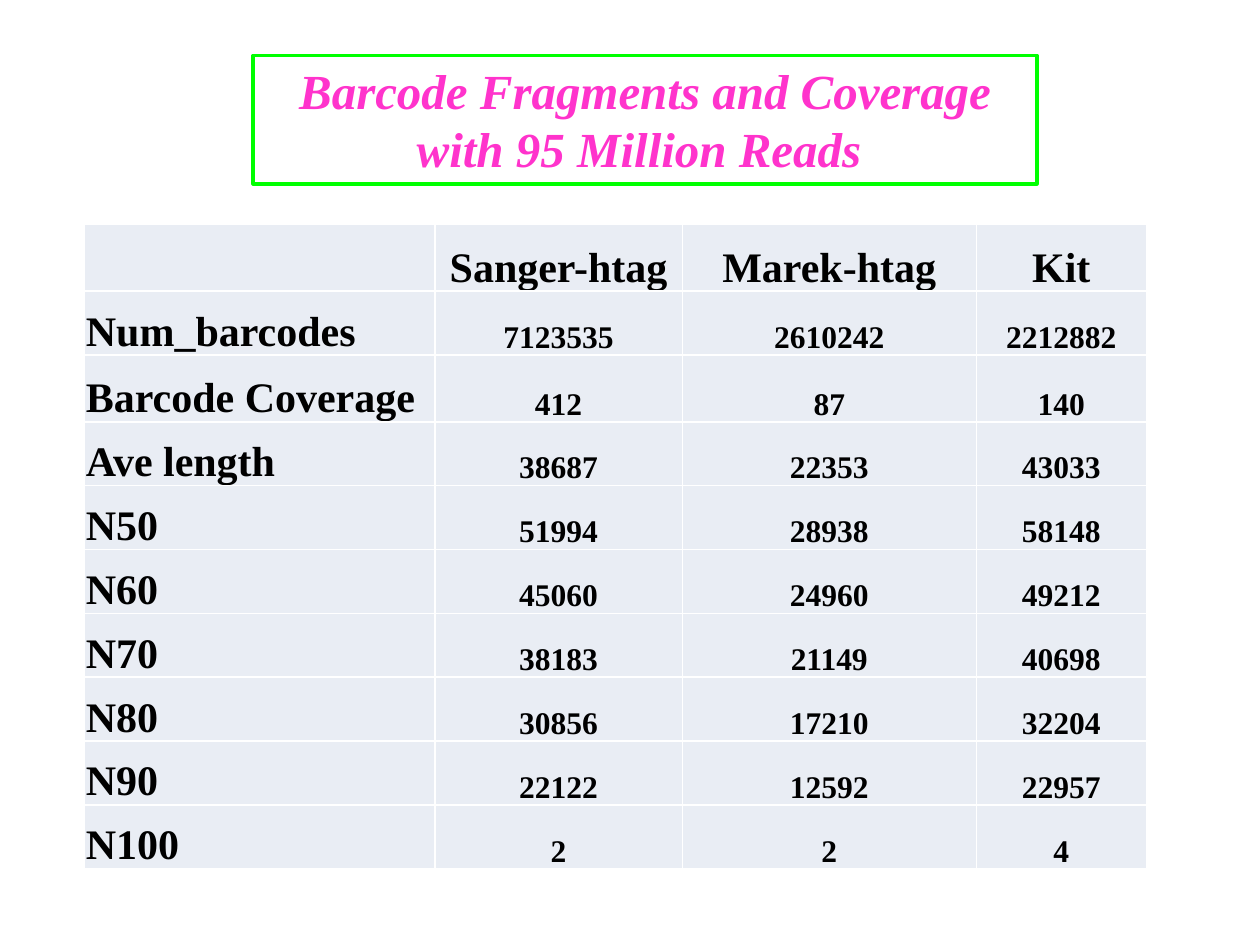
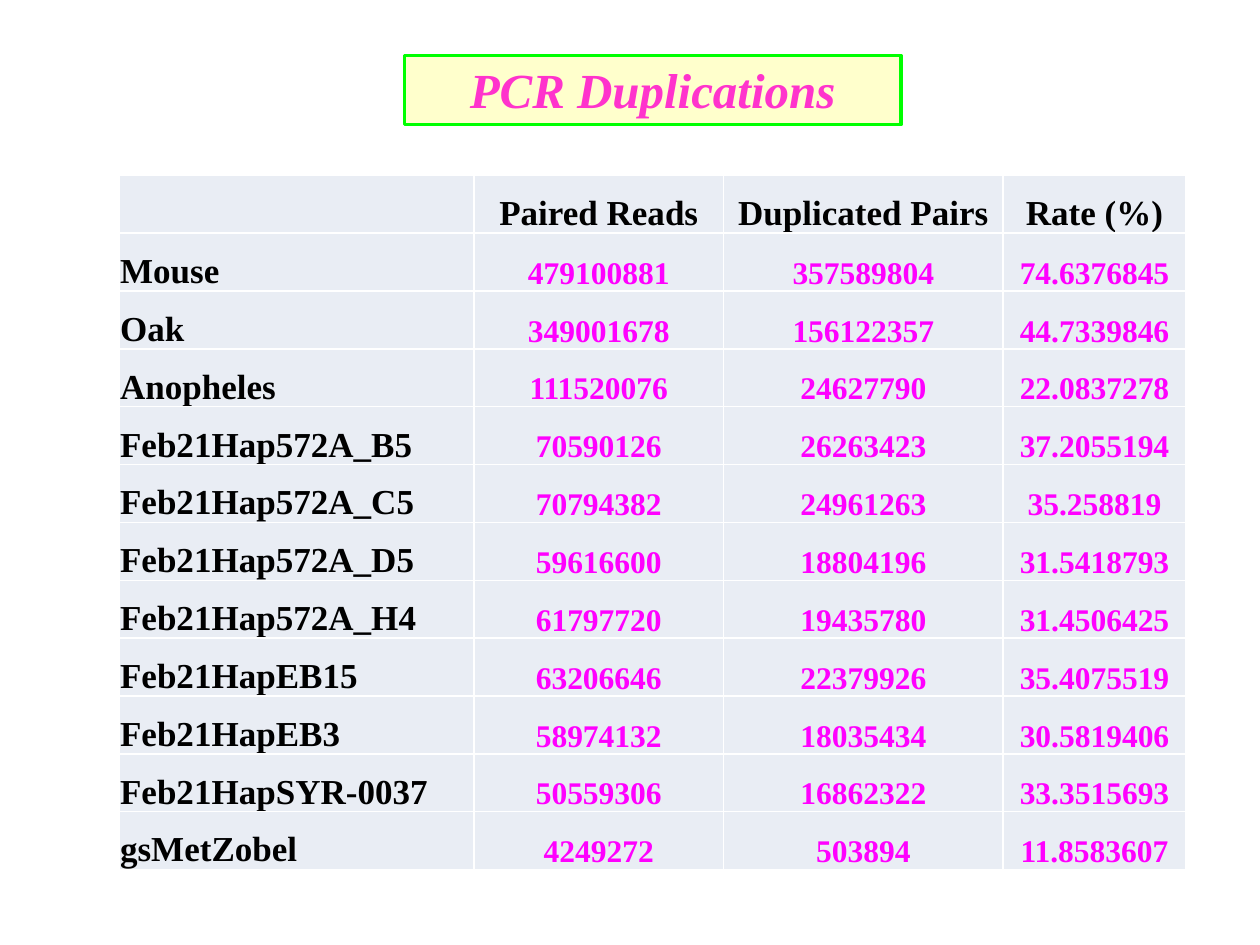
from pptx import Presentation
from pptx.dml.color import RGBColor
from pptx.enum.shapes import MSO_SHAPE
from pptx.enum.text import MSO_ANCHOR, PP_ALIGN
from pptx.util import Pt

RECTANGLE = MSO_SHAPE.RECTANGLE
BOTTOM = MSO_ANCHOR.BOTTOM
LEFT, CENTER = PP_ALIGN.LEFT, PP_ALIGN.CENTER

FONT = "Times New Roman"
WHITE, CREAM, CELL_FILL = "FFFFFF", "FFFFCC", "E9EDF4"
BLACK, MAGENTA, TITLE_PINK, FRAME_GREEN = "000000", "FF00FF", "FF33CC", "00FF00"
TITLE_TOP, TITLE_SIZE, VALUE_SIZE = 31.7, 28, 18


def paint(color_format, hex_color):
    """Give a font, fill or line colour its hex value."""
    color_format.rgb = RGBColor.from_string(hex_color)


def style_text(paragraph, size, color, align, italic=False):
    paragraph.alignment = align
    for run in paragraph.runs:
        run.font.name = FONT
        run.font.size = Pt(size)
        run.font.bold = True
        run.font.italic = italic
        paint(run.font.color, color)


barcode_stats = [
    ["", "Sanger-htag", "Marek-htag", "Kit"],
    ["Num_barcodes", "7123535", "2610242", "2212882"],
    ["Barcode Coverage", "412", "87", "140"],
    ["Ave length", "38687", "22353", "43033"],
    ["N50", "51994", "28938", "58148"],
    ["N60", "45060", "24960", "49212"],
    ["N70", "38183", "21149", "40698"],
    ["N80", "30856", "17210", "32204"],
    ["N90", "22122", "12592", "22957"],
    ["N100", "2", "2", "4"],
]
duplication_stats = [
    ["", "Paired Reads", "Duplicated Pairs", "Rate (%)"],
    ["Mouse", "479100881", "357589804", "74.6376845"],
    ["Oak", "349001678", "156122357", "44.7339846"],
    ["Anopheles", "111520076", "24627790", "22.0837278"],
    ["Feb21Hap572A_B5", "70590126", "26263423", "37.2055194"],
    ["Feb21Hap572A_C5", "70794382", "24961263", "35.258819"],
    ["Feb21Hap572A_D5", "59616600", "18804196", "31.5418793"],
    ["Feb21Hap572A_H4", "61797720", "19435780", "31.4506425"],
    ["Feb21HapEB15", "63206646", "22379926", "35.4075519"],
    ["Feb21HapEB3", "58974132", "18035434", "30.5819406"],
    ["Feb21HapSYR-0037", "50559306", "16862322", "33.3515693"],
    ["gsMetZobel", "4249272", "503894", "11.8583607"],
]

pages = [
    dict(title="Barcode Fragments and Coverage\nwith 95 Million Reads ",
         title_left=144.7, title_width=447.8, title_height=73.4, title_fill=WHITE,
         stats=barcode_stats, table_left=48.3, table_top=128.2,
         column_widths=[200.2, 141.4, 168, 97.2],
         row_heights=[38.2, 36.5, 38.2] + [36.5] * 7,
         label_size=24, value_color=BLACK),
    dict(title="PCR Duplications",
         title_left=231.1, title_width=283.7, title_height=39.6, title_fill=CREAM,
         stats=duplication_stats, table_left=67.9, table_top=100.2,
         column_widths=[203, 142.6, 159.8, 104.4],
         row_heights=[33.06] * 12,
         label_size=20, value_color=MAGENTA),
]

prs = Presentation()
prs.slide_width, prs.slide_height = Pt(720), Pt(540)

for page in pages:
    slide = prs.slides.add_slide(prs.slide_layouts[6])

    title = slide.shapes.add_shape(
        RECTANGLE, Pt(page["title_left"]), Pt(TITLE_TOP),
        Pt(page["title_width"]), Pt(page["title_height"]))
    title.shadow.inherit = False
    title.fill.solid()
    paint(title.fill.fore_color, page["title_fill"])
    paint(title.line.color, FRAME_GREEN)
    title.line.width = Pt(2)
    title.text_frame.word_wrap = True
    title.text_frame.vertical_anchor = BOTTOM
    title.text_frame.text = page["title"]
    for line in title.text_frame.paragraphs:
        style_text(line, TITLE_SIZE, TITLE_PINK, CENTER, italic=True)

    stats, widths, heights = page["stats"], page["column_widths"], page["row_heights"]
    table = slide.shapes.add_table(
        len(stats), len(widths), Pt(page["table_left"]), Pt(page["table_top"]),
        Pt(sum(widths)), Pt(sum(heights))).table
    table.first_row = False
    table.horz_banding = False
    for column, width in zip(table.columns, widths):
        column.width = Pt(width)

    for r, (record, height) in enumerate(zip(stats, heights)):
        table.rows[r].height = Pt(height)
        for c, content in enumerate(record):
            cell = table.cell(r, c)
            cell.fill.solid()
            paint(cell.fill.fore_color, CELL_FILL)
            cell.vertical_anchor = BOTTOM
            cell.margin_left = cell.margin_right = cell.margin_top = Pt(0.75)
            cell.margin_bottom = Pt(0)
            cell.text_frame.text = content
            is_label = r == 0 or c == 0
            style_text(cell.text_frame.paragraphs[0],
                       page["label_size"] if is_label else VALUE_SIZE,
                       BLACK if is_label else page["value_color"],
                       LEFT if c == 0 else CENTER)

prs.save("out.pptx")
